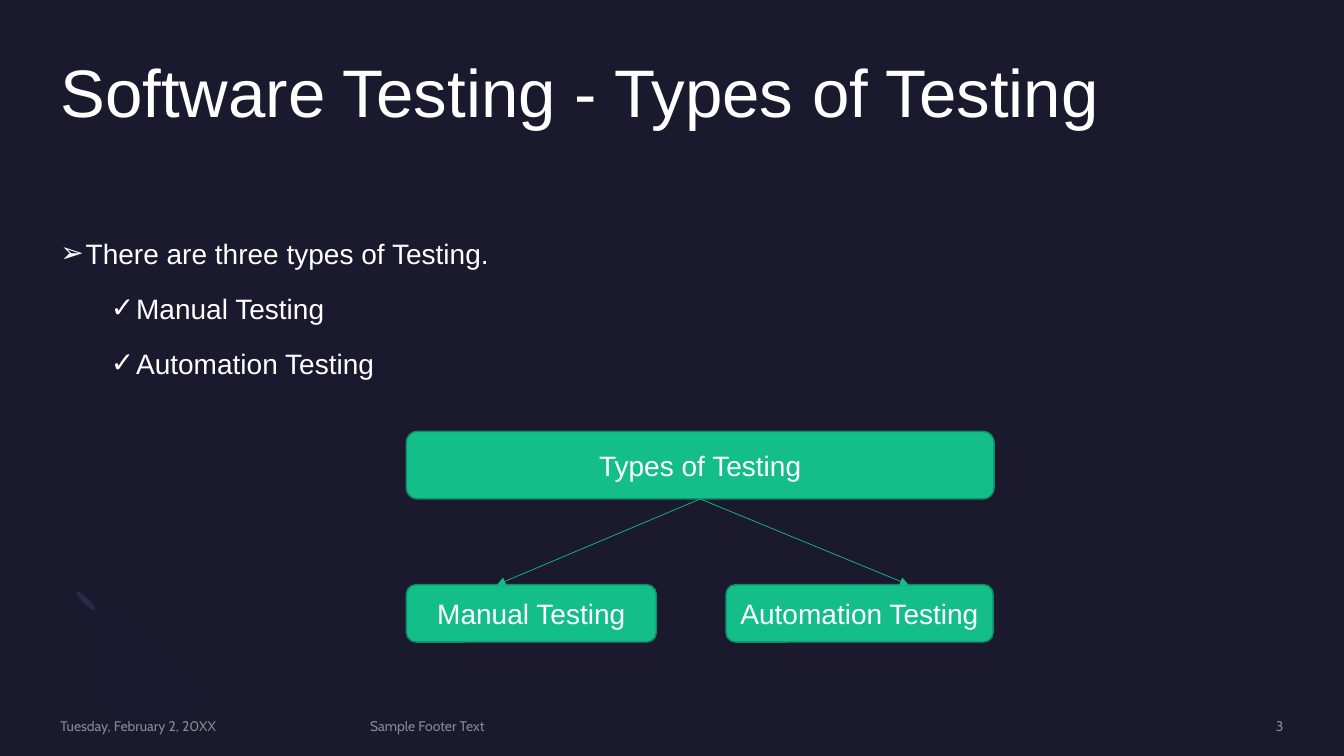
from dataclasses import dataclass

from lxml import etree
from pptx import Presentation
from pptx.dml.color import RGBColor
from pptx.enum.shapes import MSO_CONNECTOR, MSO_SHAPE
from pptx.enum.text import MSO_ANCHOR, MSO_AUTO_SIZE, PP_ALIGN
from pptx.oxml.ns import qn
from pptx.util import Inches, Pt

STRAIGHT = MSO_CONNECTOR.STRAIGHT
ELLIPSE, ROUNDED = MSO_SHAPE.OVAL, MSO_SHAPE.ROUNDED_RECTANGLE
TOP, MIDDLE = MSO_ANCHOR.TOP, MSO_ANCHOR.MIDDLE
LEFT, CENTER, RIGHT = PP_ALIGN.LEFT, PP_ALIGN.CENTER, PP_ALIGN.RIGHT
NO_AUTOFIT = MSO_AUTO_SIZE.NONE


@dataclass(frozen=True)
class Theme:
    background: RGBColor = RGBColor.from_string("1B192E")
    petal: RGBColor = RGBColor.from_string("2C284A")
    crescent: RGBColor = RGBColor.from_string("1C1A30")
    green: RGBColor = RGBColor.from_string("13BE89")
    green_edge: RGBColor = RGBColor.from_string("0E8D65")
    white: RGBColor = RGBColor.from_string("FFFFFF")
    grey: RGBColor = RGBColor.from_string("A6A6A6")
    font: str = "Arial"
    footer_font: str = "Cabin"
    title_size: int = 48
    body_size: int = 20
    footer_size: int = 10


theme = Theme()


def format_paragraph(paragraph, size, color=theme.white, name=theme.font, alignment=LEFT):
    paragraph.alignment = alignment
    paragraph.font.size = Pt(size)
    paragraph.font.name = name
    paragraph.font.color.rgb = color


def prepare_frame(shape, anchor):
    frame = shape.text_frame
    frame.word_wrap = True
    frame.auto_size = NO_AUTOFIT
    frame.vertical_anchor = anchor
    frame.margin_left = frame.margin_right = frame.margin_top = frame.margin_bottom = 0
    return frame


presentation = Presentation()
presentation.slide_width = Inches(13.33)
presentation.slide_height = Inches(7.5)
slide = presentation.slides.add_slide(presentation.slide_layouts[5])
slide.background.fill.solid()
slide.background.fill.fore_color.rgb = theme.background
margin, content_width = 0.6, 12.13

for left, top in [(1.35, 6.37), (0.82, 5.83)]:
    petal = slide.shapes.add_shape(ELLIPSE, Inches(left), Inches(top), Inches(0.06), Inches(0.26))
    petal.rotation = 135
    petal.shadow.inherit = False
    petal.fill.solid()
    petal.fill.fore_color.rgb = theme.petal
    petal.line.fill.background()

crescent_curves = [
    [(0.76, 6.59), (0.56, 6.39), (0.58, 6.05), (0.81, 5.82)],
    [(0.99, 6), (0.87, 6.11), (0.86, 6.29), (0.96, 6.38)],
    [(0.96, 6.38), (1.06, 6.48), (1.23, 6.47), (1.35, 6.36)],
    [(1.52, 6.54), (1.3, 6.76), (0.95, 6.79), (0.76, 6.59)],
]
steps = 10
outline = []
for curve in crescent_curves:
    for step in range(steps + 1):
        t = step / steps
        weights = [(1 - t) ** 3, 3 * t * (1 - t) ** 2, 3 * t ** 2 * (1 - t), t ** 3]
        outline.append([sum(w * point[axis] for w, point in zip(weights, curve)) for axis in (0, 1)])
builder = slide.shapes.build_freeform(*outline[0], scale=Inches(1))
builder.add_line_segments(outline[1:], close=True)
crescent = builder.convert_to_shape()
crescent.shadow.inherit = False
crescent.fill.solid()
crescent.fill.fore_color.rgb = theme.crescent
crescent.line.fill.background()

title = slide.shapes.title
title.left, title.top = Inches(margin), Inches(0.59)
title.width, title.height = Inches(content_width), Inches(1.46)
title_frame = prepare_frame(title, TOP)
title_frame.text = "Software Testing - Types of Testing"
title_frame.paragraphs[0].line_spacing = 0.9
format_paragraph(title_frame.paragraphs[0], theme.title_size)

footers = [
    ("Tuesday, February 2, 20XX", margin, 2.88, LEFT),
    ("Sample Footer Text", 3.67, 6.98, LEFT),
    ("3", 10.88, 1.85, RIGHT),
]
for text, left, width, alignment in footers:
    footer = slide.shapes.add_textbox(Inches(left), Inches(7.12), Inches(width), Inches(0.17))
    footer_frame = prepare_frame(footer, MIDDLE)
    footer_frame.text = text
    paragraph = footer_frame.paragraphs[0]
    format_paragraph(paragraph, theme.footer_size, theme.grey, theme.footer_font, alignment)
    color = paragraph._p.find(".//" + qn("a:srgbClr"))
    etree.SubElement(color, qn("a:alpha"), val="80000")

body = slide.shapes.add_textbox(Inches(margin), Inches(2.31), Inches(content_width), Inches(4.35))
body_frame = prepare_frame(body, TOP)
bullets = [
    ("There are three types of Testing.", 0, "➢"),
    ("Manual Testing", 1, "✓"),
    ("Automation Testing", 1, "✓"),
]
body_frame.text = "\n".join(text for text, level, mark in bullets)
for paragraph, (text, level, mark) in zip(body_frame.paragraphs, bullets):
    paragraph.level = level
    paragraph.line_spacing = 1.1
    paragraph.space_before = Pt(5 if level else 10)
    paragraph.space_after = Pt(8)
    properties = paragraph._p.get_or_add_pPr()
    properties.set("marL", str(Inches(0.25 + 0.5 * level)))
    properties.set("indent", str(Inches(-0.25)))
    etree.SubElement(properties, qn("a:buFont"), typeface=theme.font)
    etree.SubElement(properties, qn("a:buChar"), char=mark)
    format_paragraph(paragraph, theme.body_size)

boxes = {}
for text, left, top, width, height in [
    ("Types of Testing", 4.03, 4.28, 5.83, 0.67),
    ("Manual Testing", 4.03, 5.8, 2.48, 0.57),
    ("Automation Testing", 7.2, 5.8, 2.65, 0.57),
]:
    box = slide.shapes.add_shape(ROUNDED, Inches(left), Inches(top), Inches(width), Inches(height))
    box.shadow.inherit = False
    box.fill.solid()
    box.fill.fore_color.rgb = theme.green
    box.line.color.rgb = theme.green_edge
    box.line.width = Pt(1)
    box.text_frame.text = text
    box.text_frame.word_wrap = True
    box.text_frame.vertical_anchor = MIDDLE
    format_paragraph(box.text_frame.paragraphs[0], theme.body_size, alignment=CENTER)
    boxes[text] = box

for end_x in (9.01, 4.93):
    arrow = slide.shapes.add_connector(STRAIGHT, Inches(6.94), Inches(4.95), Inches(end_x), Inches(5.8))
    arrow.begin_connect(boxes["Types of Testing"], 2)
    arrow.line.color.rgb = theme.green
    arrow.line.width = Pt(0.5)
    etree.SubElement(arrow.line._get_or_add_ln(), qn("a:tailEnd"), type="triangle")
    etree.SubElement(arrow._element.spPr, qn("a:effectLst"))

presentation.save("out.pptx")
